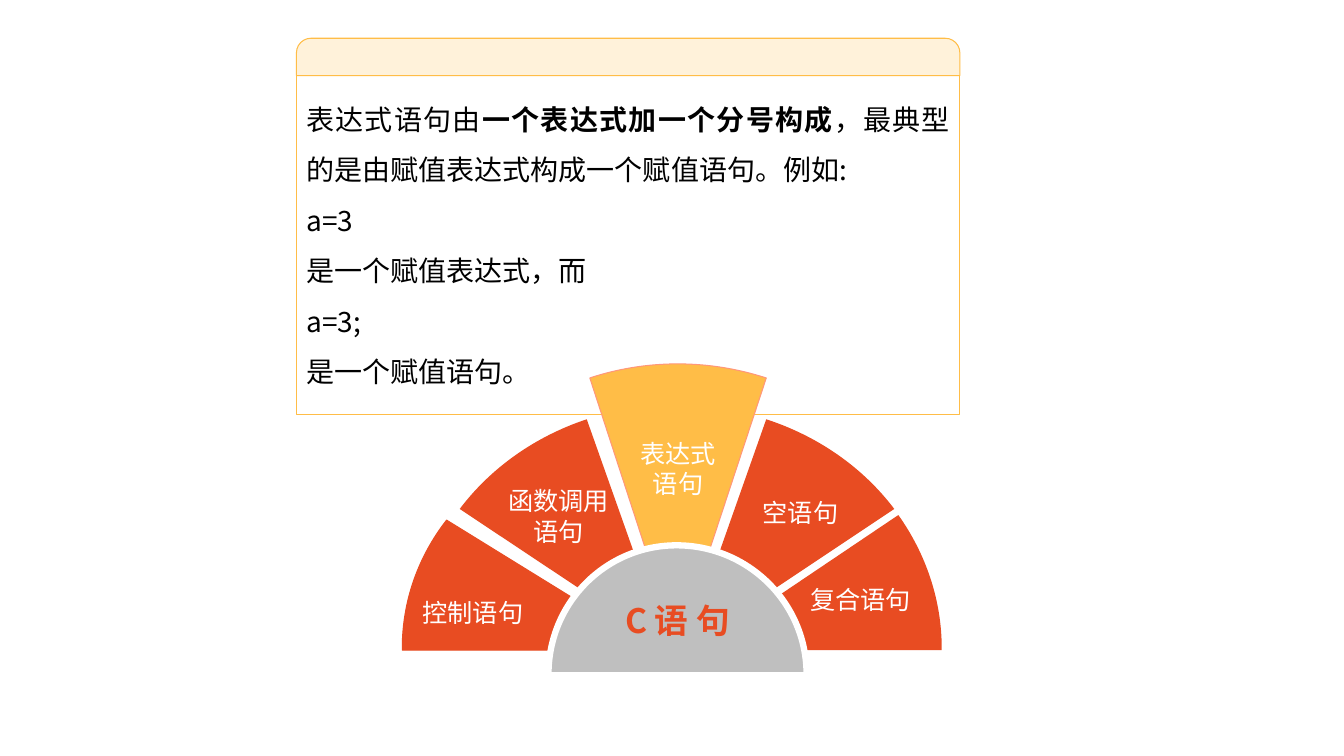
from pptx import Presentation
from pptx.util import Inches, Pt
from pptx.dml.color import RGBColor
from pptx.enum.shapes import MSO_SHAPE as Kind
from pptx.enum.text import PP_ALIGN as Align, MSO_ANCHOR as Anchor
from pptx.oxml.ns import qn
from lxml.etree import SubElement

HUE = {"red": "E84C22", "gold": "FFBD47", "cream": "FFF2DA", "pink": "FF977A",
       "gray": "BFBFBF", "white": "FFFFFF", "black": "000000"}
FONT = "Noto Sans CJK SC"
NOTE = [
    ["表达式语句由", "一个表达式加一个分号构成", "，最典型的是由赋值表达式构成一个赋值语句。例如:"],
    ["a=3"], ["是一个赋值表达式，而"], ["a=3;"], ["是一个赋值语句。"],
]
WEDGES = [
    (["函数调用", "语句"], "red", None, (0.1, 0.05, 0.2, 0.39), Align.CENTER,
     [(1.83, 0.55), (1.32, 0.72, 0.88, 1.03, 0.57, 1.44), (2.63, 2.81)]),
    (["控制语句"], "red", "red", (0.2, 0.59, 0.1, 0.05), Align.JUSTIFY,
     [(0, 2.82), (0, 2.84), (2.53, 2.84), (0.44, 1.55),
      (0.16, 1.91, 0, 2.35, 0, 2.82)]),
    (["表达式", "语句"], "gold", "pink", (0.1, 0.05, 0.1, 0.79), Align.CENTER,
     [(3.61, 0.14), (3.33, 0.05, 3.04, 0, 2.73, 0),
      (2.43, 0, 2.13, 0.05, 1.86, 0.14), (2.73, 2.81)]),
    (["空语句"], "red", None, (0.31, 0.05, 0.1, 0.47), Align.CENTER,
     [(4.88, 1.44), (4.57, 1.03, 4.13, 0.72, 3.61, 0.55), (2.81, 2.82)]),
    (["复合语句"], "red", None, (0.91, 0.39, 0.1, 0.05), Align.CENTER,
     [(2.93, 2.84), (5.35, 2.84), (5.35, 2.82),
      (5.35, 2.34, 5.19, 1.88, 4.92, 1.5)]),
]
HUB = [(4.01, 3.08), (4.01, 2.37, 3.43, 1.8, 2.72, 1.8),
       (2.02, 1.8, 1.45, 2.37, 1.45, 3.08), (1.45, 3.09), (4.01, 3.09)]


def rgb(name):
    """Return the named colour."""
    return RGBColor.from_string(HUE[name])


def paint(shape, fill, line=None, width=0.75):
    """Set the fill and line of a shape and drop its shadow."""
    shape.shadow.inherit = False
    shape.fill.solid()
    shape.fill.fore_color.rgb = rgb(fill)
    if line:
        shape.line.color.rgb = rgb(line)
        shape.line.width = Pt(width)
    else:
        shape.line.fill.background()


def write(shape, rows, size, hue, pads, align, anchor=Anchor.MIDDLE, space=None, bold=False):
    """Fill a shape with paragraphs, each a list of runs."""
    frame = shape.text_frame
    frame.word_wrap = True
    frame.vertical_anchor = anchor
    (frame.margin_left, frame.margin_top,
     frame.margin_right, frame.margin_bottom) = map(Inches, pads)
    for i, row in enumerate(rows):
        para = frame.add_paragraph() if i else frame.paragraphs[0]
        para.alignment = align
        if space:
            para.line_spacing = space
        font = para.font
        font.size, font.name, font.bold = Pt(size), FONT, bold
        font.color.rgb = rgb(hue)
        SubElement(para._p.pPr.find(qn("a:defRPr")), qn("a:ea"), typeface=FONT)
        for text in row:
            para.add_run().text = text


def trace(shapes, left, top, steps):
    """Draw a closed outline of points and cubic curves."""
    spots = [(Inches(left + step[-2]), Inches(top + step[-1])) for step in steps]
    pen = shapes.build_freeform(*spots[0])
    pen.add_line_segments(spots[1:], close=True)
    shape = pen.convert_to_shape()
    edges = list(shape._element.iter(qn("a:lnTo")))
    for edge, step in zip(edges, steps[1:]):
        if len(step) == 6:
            edge.tag = qn("a:cubicBezTo")
            for i in (0, 2):
                x = Inches(left + step[i]) - shape.left
                y = Inches(top + step[i + 1]) - shape.top
                knot = SubElement(edge, qn("a:pt"), x=str(x), y=str(y))
                edge.insert(i // 2, knot)
    return shape


def panel(shapes, left, top, wide, high):
    """Draw the note with its rounded header strip."""
    strip = 0.37
    body = shapes.add_shape(Kind.RECTANGLE, Inches(left), Inches(top + strip),
                            Inches(wide), Inches(high - strip))
    paint(body, "white", "gold")
    write(body, NOTE, 20, "black", [0.1] * 4, Align.JUSTIFY, Anchor.TOP, 1.5)
    body.text_frame.paragraphs[0].runs[1].font.bold = True
    head = shapes.add_shape(Kind.ROUND_2_SAME_RECTANGLE, Inches(left), Inches(top),
                            Inches(wide), Inches(strip))
    head.adjustments[0] = 0.39
    paint(head, "cream", "gold")


def fan(shapes, left, top):
    """Draw the wedges and the hub they surround."""
    for rows, fill, line, pads, align, steps in WEDGES:
        wedge = trace(shapes, left, top, steps)
        paint(wedge, fill, line)
        write(wedge, [[row] for row in rows], 18, "white", pads, align)
    hub = trace(shapes, left, top, HUB)
    paint(hub, "gray", "white", 4.5)
    write(hub, [["C 语 句"]], 24, "red", (0, 0.2, 0, 0), Align.CENTER, bold=True)


def main():
    """Build and save the slide."""
    deck = Presentation()
    deck.slide_width, deck.slide_height = Inches(13.33), Inches(7.5)
    shapes = deck.slides.add_slide(deck.slide_layouts[6]).shapes
    panel(shapes, 2.94, 0.38, 6.58, 3.73)
    fan(shapes, 3.99, 3.61)
    deck.save("out.pptx")


if __name__ == "__main__":
    main()
